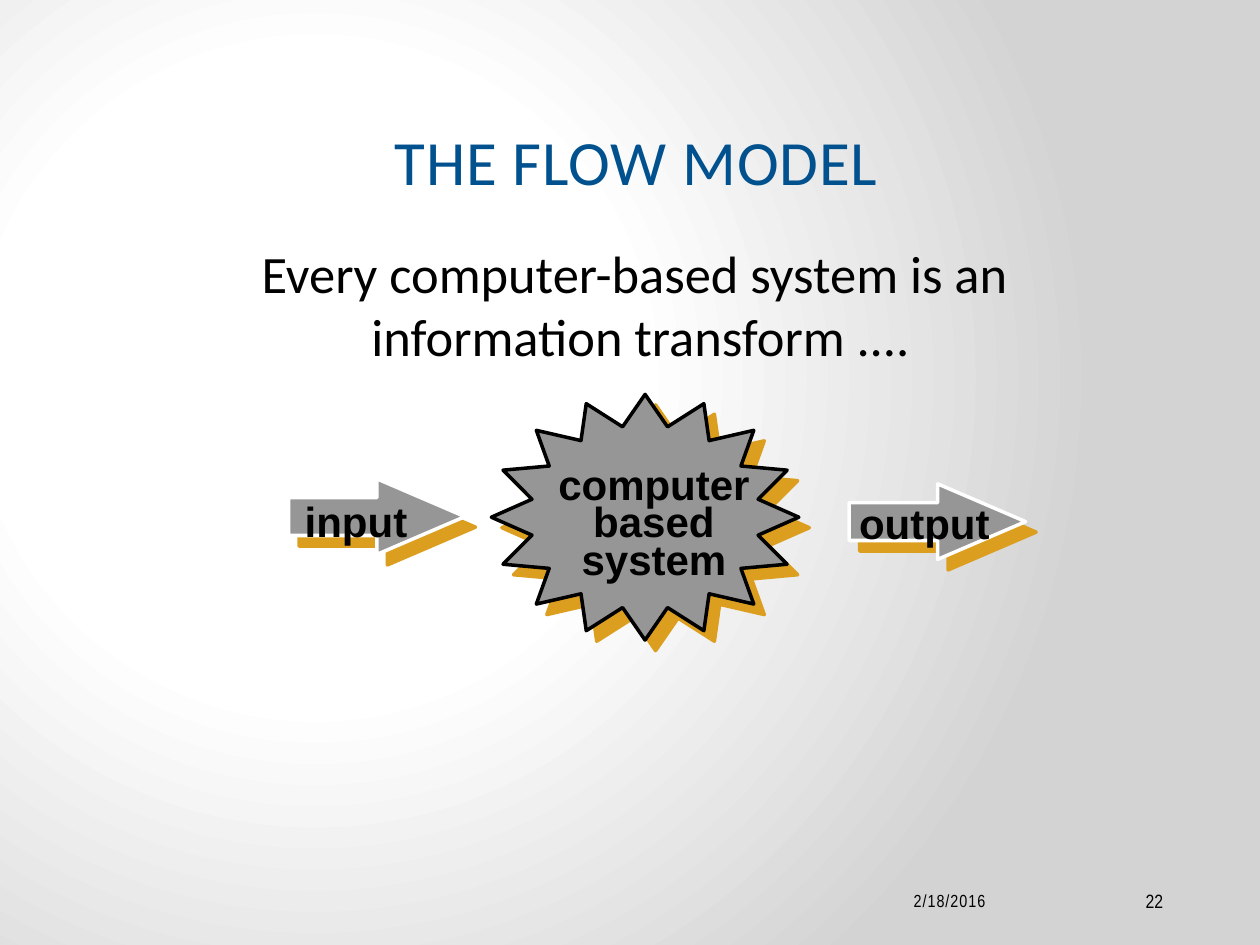
from dataclasses import dataclass
from lxml import etree
from pptx import Presentation
from pptx import util as u
from pptx.dml.color import RGBColor
from pptx.enum import shapes, text
from pptx.oxml import parse_xml
from pptx.oxml.ns import nsdecls, qn


@dataclass(frozen=True)
class Theme:
    title: str = "00518E"
    ink: str = "000000"
    paper: str = "FFFFFF"
    edge: str = "D3D3D3"
    grey: str = "969696"
    gold: str = "DC9E1F"
    title_size: int = 36
    body_size: int = 30
    label_size: int = 24
    number_size: int = 11
    date_size: int = 10


theme = Theme()
deck = Presentation()
deck.slide_width, deck.slide_height = u.Inches(10), u.Inches(7.5)
page = deck.slides.add_slide(deck.slide_layouts[5])
align, anchor = text.PP_ALIGN, text.MSO_ANCHOR


def area(left, top, width, height):
    """Turn shares of the slide, in percent, into lengths."""
    across, down = deck.slide_width / 100, deck.slide_height / 100
    return [int(n) for n in (left * across, top * down, width * across, height * down)]


def write(box, words, font, size, color, side, middle=anchor.TOP,
          bold=False, leading=None, tracking=0, wrap=True):
    frame = box.text_frame
    frame.text = words
    frame.word_wrap = wrap
    frame.vertical_anchor = middle
    for para in frame.paragraphs:
        para.alignment = side
        if leading:
            para.line_spacing = leading
        for span in para.runs:
            span.font.name, span.font.size, span.font.bold = font, u.Pt(size), bold
            span.font.color.rgb = RGBColor.from_string(color)
            if tracking:
                span.font._element.set("spc", str(int(tracking * 100)))


# Background: white glow fading to grey
page.background.fill.gradient()
gradient = page.element.find(".//" + qn("a:gradFill"))
stops = "".join(f'<a:gs pos="{at * 1000}"><a:srgbClr val="{color}"/></a:gs>'
                for at, color in ((0, theme.paper), (41, theme.paper), (100, theme.edge)))
gradient.getparent().replace(gradient, parse_xml(
    f'<a:gradFill {nsdecls("a")} rotWithShape="1"><a:gsLst>{stops}</a:gsLst>'
    '<a:path path="circle"><a:fillToRect l="50000" t="80000" r="100000" b="100000"/>'
    '</a:path></a:gradFill>'))

# Title and statement
title = page.shapes.title
title.left, title.top, title.width, title.height = area(10, 5.6, 81, 16)
write(title, "THE FLOW MODEL", "Calibri", theme.title_size, theme.title,
      align.CENTER, anchor.BOTTOM, tracking=0.5)
statement = page.shapes.add_textbox(*area(10, 24.8, 81.7, 14.8))
write(statement, "Every computer-based system is an \ninformation transform ....",
      "Calibri", theme.body_size, theme.ink, align.CENTER)

# Flow: input arrow, system star, output arrow
kinds = shapes.MSO_SHAPE
arrow = (0.5, 1.164)
for kind, place, adjust, outline in (
        (kinds.STAR_16_POINT, (39, 41.73, 24.4, 26), (0.375,), theme.ink),
        (kinds.RIGHT_ARROW, (22.9, 50.67, 14, 8), arrow, theme.paper),
        (kinds.RIGHT_ARROW, (67.4, 51.2, 14, 8), arrow, theme.paper)):
    part = page.shapes.add_shape(kind, *area(*place))
    for index, value in enumerate(adjust):
        part.adjustments[index] = value
    part.fill.solid()
    part.fill.fore_color.rgb = RGBColor.from_string(theme.grey)
    part.line.color.rgb = RGBColor.from_string(outline)
    part.line.width = u.Pt(2)
    part.shadow.inherit = False
    effects = part._element.spPr.find(qn("a:effectLst"))
    shadow = etree.SubElement(effects, qn("a:outerShdw"), dist=str(u.Pt(8.5)),
                              dir=str(45 * 60000), algn="ctr", rotWithShape="0")
    etree.SubElement(shadow, qn("a:srgbClr"), val=theme.gold)

# Flow labels
for words, place, side, leading in (
        ("computer\nbased\nsystem", (43.3, 49.07, 17.2, 13.33), align.CENTER, 0.75),
        ("input", (23.2, 51.73, 10.2, 6.67), align.LEFT, None),
        ("output", (67.2, 52, 12.4, 6.67), align.LEFT, None)):
    label = page.shapes.add_textbox(*area(*place))
    write(label, words, "Arial", theme.label_size, theme.ink, side,
          bold=True, leading=leading, wrap=False)

# Date and page number
for words, place, size, tracking in (
        ("2/18/2016", (62.5, 92.67, 16.7, 5.33), theme.date_size, 0.6),
        ("22", (82.5, 92.67, 10.8, 5.33), theme.number_size, 0)):
    footer = page.shapes.add_textbox(*area(*place))
    write(footer, words, "Arial Narrow", size, theme.ink, align.RIGHT,
          anchor.MIDDLE, tracking=tracking)

deck.save("out.pptx")
